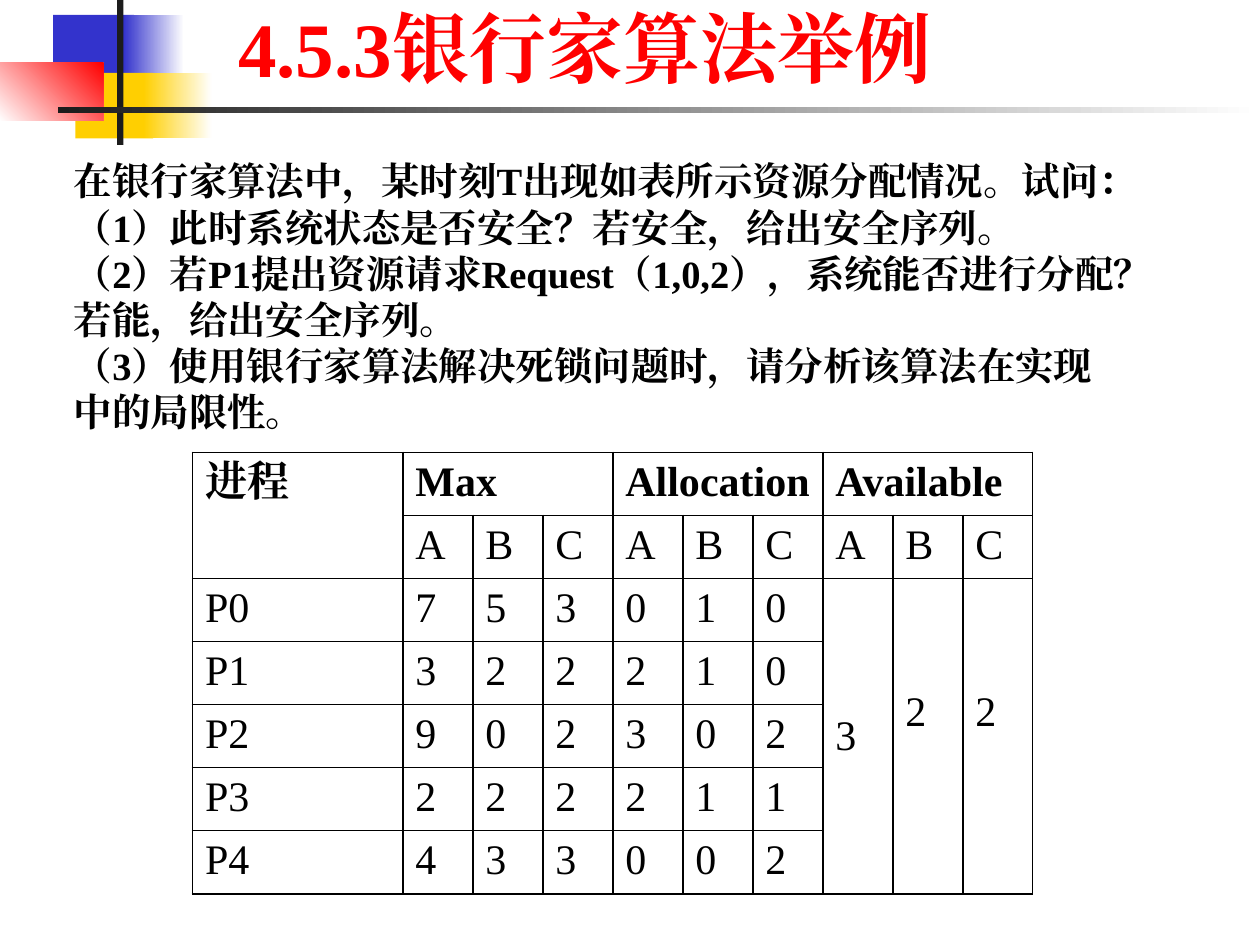
"""Build the slide with the banker's algorithm example."""
from lxml import etree
from pptx import Presentation
from pptx.dml.color import RGBColor
from pptx.enum.shapes import MSO_SHAPE
from pptx.enum.text import MSO_ANCHOR
from pptx.oxml.ns import qn
from pptx.util import Cm, Pt

RECT = MSO_SHAPE.RECTANGLE
TOP, MID = MSO_ANCHOR.TOP, MSO_ANCHOR.MIDDLE
BLUE = RGBColor(0x33, 0x33, 0xCC)
GOLD = RGBColor(0xFF, 0xCF, 0x01)
RED = RGBColor(0xFF, 0x00, 0x00)
DARK = RGBColor(0x1C, 0x1C, 0x1C)
BLACK = RGBColor(0x00, 0x00, 0x00)
WHITE = RGBColor(0xFF, 0xFF, 0xFF)
FONT = "Times New Roman"


def write(frame, *lines, size=24, color=BLACK, bold=False, space=None):
    for i, line in enumerate(lines):
        para = frame.paragraphs[0] if i == 0 else frame.add_paragraph()
        para.line_spacing = space
        run = para.add_run()
        run.text = line
        run.font.name = FONT
        run.font.size = Pt(size)
        run.font.bold = bold
        run.font.color.rgb = color
        etree.SubElement(run.font._element, qn("a:ea"), typeface=FONT)


def border(cell):
    props = cell._tc.get_or_add_tcPr()
    for i, side in enumerate(("lnL", "lnR", "lnT", "lnB")):
        line = etree.Element(qn("a:" + side), w=str(Pt(1)))
        fill = etree.SubElement(line, qn("a:solidFill"))
        etree.SubElement(fill, qn("a:srgbClr"), val=str(BLACK))
        props.insert(i, line)


deck = Presentation()
deck.slide_width, deck.slide_height = Cm(25.4), Cm(19.05)
slide = deck.slides.add_slide(deck.slide_layouts[6])
shapes = slide.shapes

bars = [
    (1.07, 0.3, 1.63, 1.32, BLUE, None, 0),
    (2.49, 0.3, 1.22, 1.32, BLUE, WHITE, 0),
    (1.52, 1.47, 1.57, 1.32, GOLD, None, 0),
    (2.9, 1.47, 1.37, 1.32, GOLD, WHITE, 0),
    (0, 1.27, 2.08, 1.17, WHITE, RED, 45),
    (2.36, 0, 0.13, 2.92, DARK, None, 0),
    (1.17, 2.16, 24.23, 0.13, DARK, WHITE, 0),
]
for x, y, w, h, start, end, angle in bars:
    bar = shapes.add_shape(RECT, Cm(x), Cm(y), Cm(w), Cm(h))
    bar.shadow.inherit = False
    bar.line.fill.background()
    if end is None:
        bar.fill.solid()
        bar.fill.fore_color.rgb = start
    else:
        bar.fill.gradient()
        bar.fill.gradient_angle = angle
        for stop, color in zip(bar.fill.gradient_stops, (start, end)):
            stop.color.rgb = color

title = shapes.add_textbox(Cm(4.55), Cm(0.1), Cm(21.89), Cm(2.41)).text_frame
title.word_wrap = True
write(title, "4.5.3银行家算法举例", size=44, color=RED, bold=True, space=0.9)

body = shapes.add_textbox(Cm(1.24), Cm(3.05), Cm(21.59), Cm(5.89)).text_frame
body.word_wrap = True
write(
    body,
    "在银行家算法中，某时刻T出现如表所示资源分配情况。试问：",
    "（1）此时系统状态是否安全？若安全，给出安全序列。",
    "（2）若P1提出资源请求Request（1,0,2），系统能否进行分配？若能，给出安全序列。",
    "（3）使用银行家算法解决死锁问题时，请分析该算法在实现中的局限性。",
    size=22, bold=True,
)

rows = [
    ["进程", "Max", "", "", "Allocation", "", "", "Available", "", ""],
    ["", *"ABCABCABC"],
    ["P0", *"753010322"],
    ["P1", *"322210"],
    ["P2", *"902302"],
    ["P3", *"222211"],
    ["P4", *"433002"],
]
table = shapes.add_table(7, 10, Cm(3.88), Cm(9.12), Cm(16.94), Cm(8.89)).table
table.first_row = table.horz_banding = False
for i, col in enumerate(table.columns):
    col.width = Cm(1.411 if i else 4.24)
for row in table.rows:
    row.height = Cm(1.27)
for cell in table.iter_cells():
    cell.fill.solid()
    cell.fill.fore_color.rgb = WHITE
    border(cell)

table.cell(0, 0).merge(table.cell(1, 0))
for c in (1, 4, 7):
    table.cell(0, c).merge(table.cell(0, c + 2))
for c in (7, 8, 9):
    table.cell(2, c).merge(table.cell(6, c))
    table.cell(2, c).vertical_anchor = MID
for c in (8, 9):
    table.cell(2, c).margin_bottom = Cm(1.07)
for r, row in enumerate(rows):
    for c, text in enumerate(row):
        if text:
            write(table.cell(r, c).text_frame, text, bold=r == 0)

deck.save("out.pptx")
